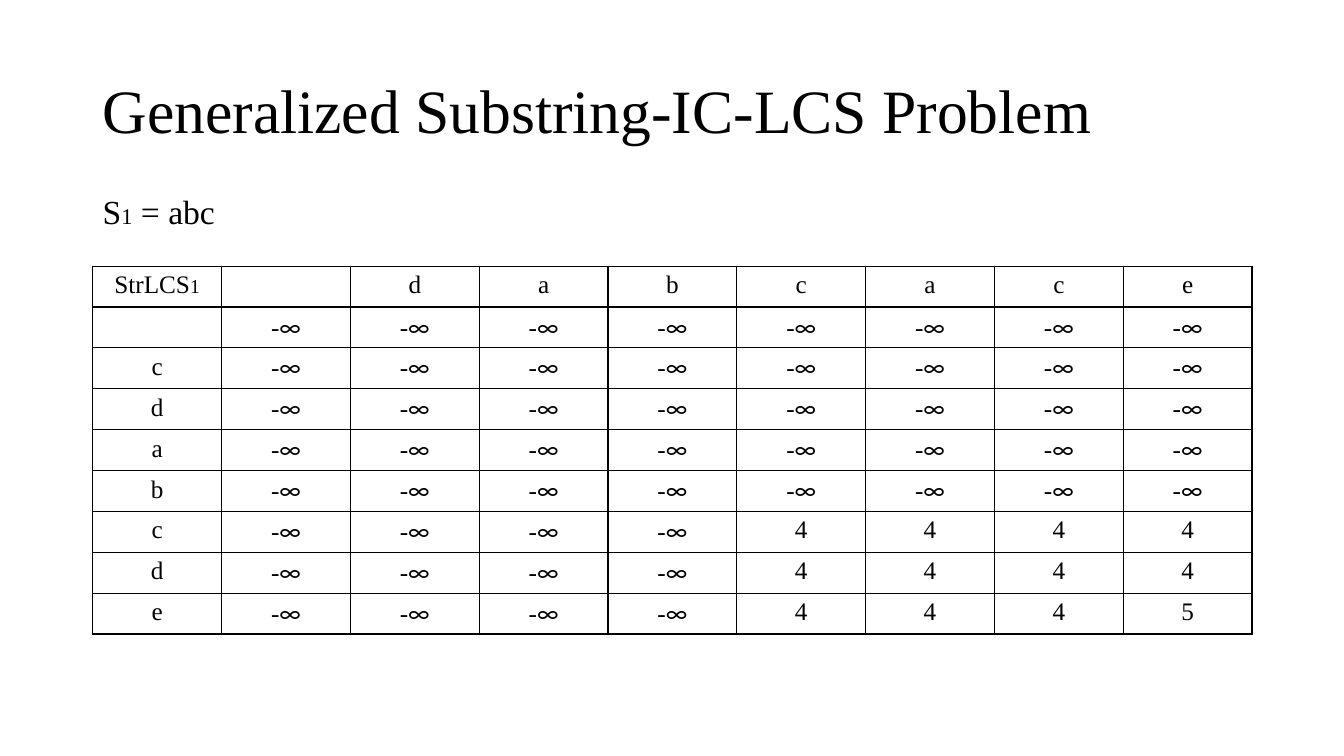
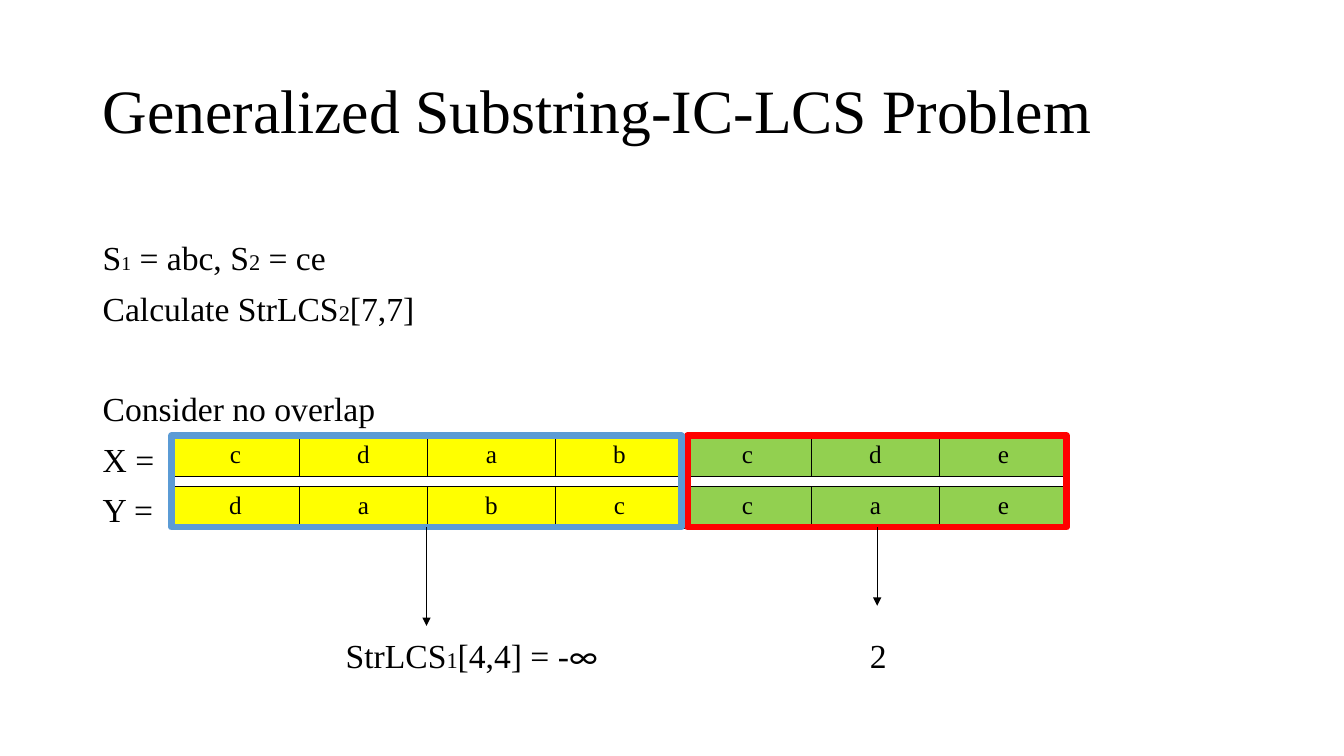
from dataclasses import dataclass
from itertools import groupby

from lxml import etree
from pptx import Presentation
from pptx.dml.color import RGBColor
from pptx.enum.shapes import MSO_CONNECTOR, MSO_SHAPE
from pptx.enum.text import MSO_ANCHOR, MSO_AUTO_SIZE, PP_ALIGN
from pptx.oxml import parse_xml
from pptx.oxml.ns import nsdecls, qn
from pptx.util import Inches, Pt

RECT = MSO_SHAPE.RECTANGLE
LINE = MSO_CONNECTOR.STRAIGHT
MIDDLE = MSO_ANCHOR.MIDDLE
GROW = MSO_AUTO_SIZE.SHAPE_TO_FIT_TEXT
CENTER = PP_ALIGN.CENTER
BOTTOM = 2


@dataclass(frozen=True)
class Theme:
    """Hold the colours, fonts and sizes of the deck."""
    ink: str = "000000"
    paper: str = "FFFFFF"
    yellow: str = "FFFF00"
    green: str = "92D050"
    red: str = "FF0000"
    blue: str = "5B9BD5"
    font: str = "Times New Roman"
    symbol: str = "Calibri"
    title: int = 44
    body: int = 24
    sub: int = 16
    cell: int = 18
    small: int = 14
    rule: float = 1
    frame: float = 4.5
    arrow: float = 0.5


THEME = Theme()
TITLE = "Generalized Substring-IC-LCS Problem"
LEFT, WIDTH = 0.92, 11.5
INF = "-∞"


def put(target, values):
    """Set each attribute named in a dict."""
    for name, value in values.items():
        setattr(target, name, value)


def paint(fill, color):
    """Make a fill solid in one colour."""
    fill.solid()
    fill.fore_color.rgb = RGBColor.from_string(color)


def write(par, bits, size):
    """Add runs from strings or (string, size) pairs."""
    for bit in bits:
        text, points = bit if isinstance(bit, tuple) else (bit, size)
        for sign, chars in groupby(text, lambda char: char == "∞"):
            run = par.add_run()
            run.text = "".join(chars)
            put(run.font, {"size": Pt(points),
                           "name": THEME.symbol if sign else THEME.font})
            run.font.color.rgb = RGBColor.from_string(THEME.ink)


def add_text(slide, box, lines, size, frame=None, style=None, gaps=()):
    """Add a text box with one paragraph per line."""
    shape = slide.shapes.add_textbox(*map(Inches, box))
    body = shape.text_frame
    put(body, {"word_wrap": True, **(frame or {})})
    for index, bits in enumerate(lines):
        par = body.paragraphs[0] if index == 0 else body.add_paragraph()
        put(par, style or {})
        if index and gaps:
            par.space_before = Pt(gaps[index - 1])
        write(par, bits, size)


def add_label(slide, box, bits):
    """Add a one-line label that fits its text."""
    add_text(slide, box, [bits], THEME.body,
             {"word_wrap": False, "auto_size": GROW})


def border(cell):
    """Draw a thin rule on all sides of a cell."""
    props = cell._tc.get_or_add_tcPr()
    for side in ("lnL", "lnR", "lnT", "lnB"):
        props.append(parse_xml(
            f'<a:{side} {nsdecls("a")} w="{Pt(THEME.rule)}"><a:solidFill>'
            f'<a:srgbClr val="{THEME.ink}"/></a:solidFill></a:{side}>'))


def add_grid(slide, box, rows, fills):
    """Add a ruled table with one fill per column."""
    shape = slide.shapes.add_table(len(rows), len(fills), *map(Inches, box))
    table = shape.table
    put(table, {"first_row": False, "horz_banding": False})
    for y, row in enumerate(rows):
        for x, (bits, fill) in enumerate(zip(row, fills)):
            cell = table.cell(y, x)
            border(cell)
            paint(cell.fill, fill)
            par = cell.text_frame.paragraphs[0]
            put(par, {"alignment": CENTER})
            par.font.size = Pt(THEME.cell)
            if bits:
                write(par, bits, THEME.cell)


def add_frame(slide, box, color):
    """Add an unfilled rectangle with a thick outline."""
    shape = slide.shapes.add_shape(RECT, *map(Inches, box))
    shape.shadow.inherit = False
    shape.fill.background()
    paint(shape.line.fill, color)
    shape.line.width = Pt(THEME.frame)
    return shape


def add_arrow(slide, shape, end):
    """Drop an arrow from the bottom of a shape."""
    x = shape.left + shape.width // 2
    line = slide.shapes.add_connector(
        LINE, x, shape.top + shape.height, x, Inches(end))
    line.begin_connect(shape, BOTTOM)
    paint(line.line.fill, THEME.ink)
    line.line.width = Pt(THEME.arrow)
    etree.SubElement(line.line._get_or_add_ln(), qn("a:tailEnd"),
                     type="triangle")
    etree.SubElement(line._element.spPr, qn("a:effectLst"))


def start(deck):
    """Add a blank slide with the shared title."""
    slide = deck.slides.add_slide(deck.slide_layouts[6])
    add_text(slide, (LEFT, 0.4, WIDTH, 1.45), [[TITLE]], THEME.title,
             {"vertical_anchor": MIDDLE}, {"line_spacing": 0.9})
    return slide


def scores(slide):
    """Fill the slide with the score table."""
    head = [["StrLCS", ("1", THEME.small)], [], *"dabcace"]
    rows = [head, [[], *[[INF]] * 8]]
    rows += [[key, *[[INF]] * 8] for key in "cdab"]
    rows += [[key, *[[INF]] * 4, *tail]
             for key, tail in zip("cde", ("4444", "4444", "4445"))]
    add_grid(slide, (LEFT, 2.64, WIDTH, 3.65), rows,
             [THEME.paper] * len(head))
    add_text(slide, (LEFT, 1.84, 2.35, 0.5),
             [["S", ("1", THEME.sub), " = abc"]], THEME.body,
             {"auto_size": GROW})


def split(slide):
    """Fill the slide with the split of X and Y."""
    lines = [["S", ("1", THEME.small), " = abc, S", ("2", THEME.sub), " = ce"],
             ["Calculate StrLCS", ("2", THEME.sub), "[7,7]"],
             ["Consider no overlap"], ["X ="], ["Y ="]]
    add_text(slide, (LEFT, 2.35, WIDTH, 4.76), lines, THEME.body,
             style={"line_spacing": 0.9}, gaps=(10, 46, 10, 10))
    left, top = 1.7, 4.32
    fills = [THEME.yellow] * 4 + [THEME.green] * 3
    for index, word in enumerate(("cdabcde", "dabccae")):
        add_grid(slide, (left, top + index * 0.51, 8.89, 0.41),
                 [word], fills)
    parts = (
        (6.82, 3.76, THEME.red, 6.01, (8.53, 0.37), ["2"]),
        (left, 5.06, THEME.blue, 6.21, (3.33, 2.78),
         ["StrLCS", ("1", THEME.sub), "[4,4] = " + INF]))
    for x, width, color, end, (start_x, span), bits in parts:
        frame = add_frame(slide, (x, top, width, 0.91), color)
        add_arrow(slide, frame, end)
        add_label(slide, (start_x, 6.25, span, 0.5), bits)


def main():
    """Build and save the deck."""
    deck = Presentation()
    put(deck, {"slide_width": Inches(13.33), "slide_height": Inches(7.5)})
    for fill in (scores, split):
        fill(start(deck))
    deck.save("out.pptx")


if __name__ == "__main__":
    main()
